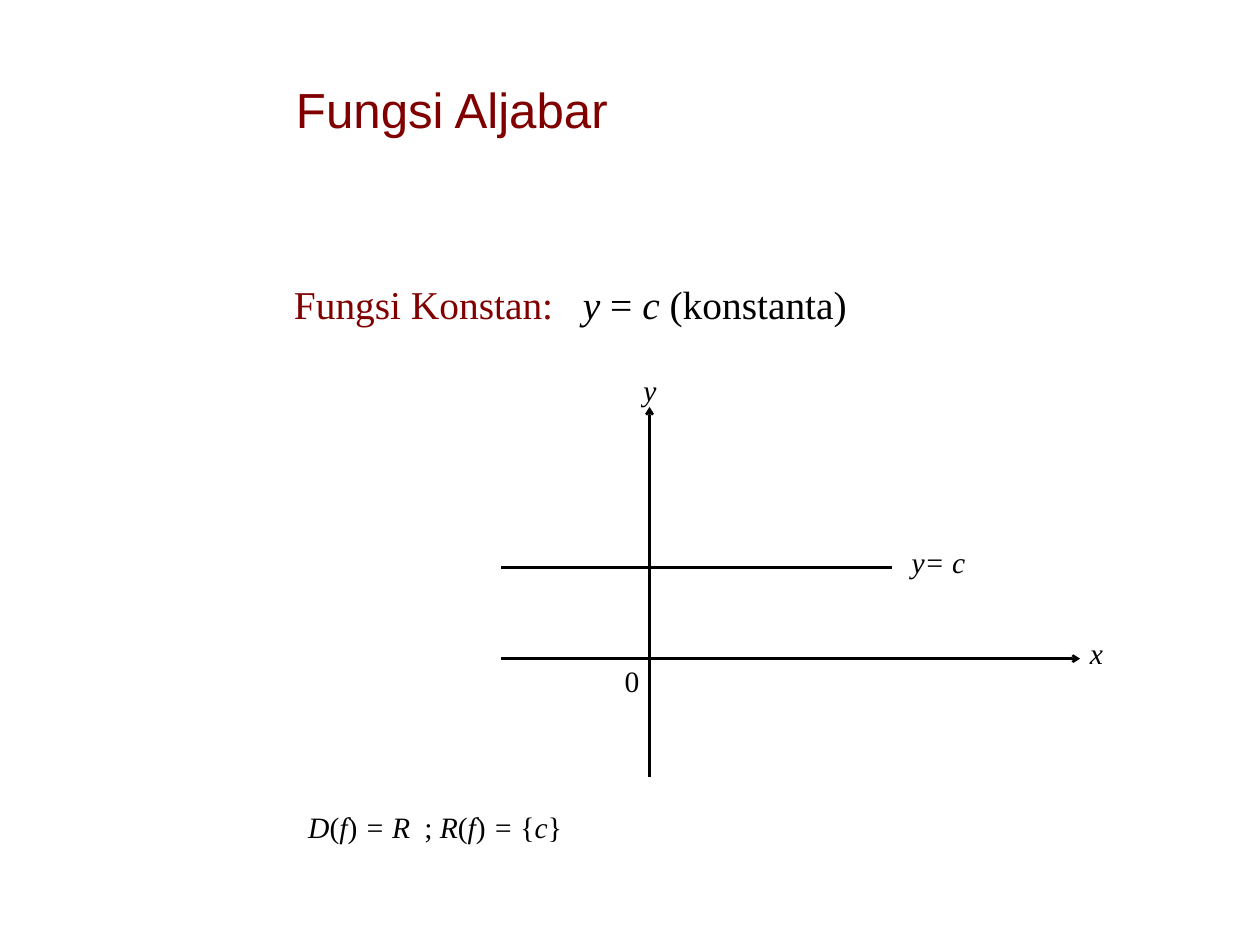
from pptx import Presentation
from pptx import util as u
from pptx.dml.color import RGBColor
from pptx.enum import shapes, text
from pptx.oxml.ns import qn
from lxml import etree

theme = {
    "heading": RGBColor(0x80, 0x00, 0x00),
    "ink": RGBColor(0x00, 0x00, 0x00),
    "title_font": "Arial",
    "math_font": "Times New Roman",
    "title_size": 40,
    "heading_size": 32,
    "math_size": 24,
    "axis_width": 2,
}

deck = Presentation()
deck.slide_width, deck.slide_height = u.Inches(14.22), u.Inches(10.66)
slide = deck.slides.add_slide(deck.slide_layouts[5])

# Grid of 100 columns by 100 rows
column, row = deck.slide_width / 100, deck.slide_height / 100


def place(left, top, width, height):
    return [u.Emu(round(n * unit)) for n, unit in
            ((left, column), (top, row), (width, column), (height, row))]


def write(paragraph, words, size, font, color, italic=False):
    run = paragraph.add_run()
    run.text = words
    run.font.size = u.Pt(size)
    run.font.name = font
    run.font.color.rgb = color
    run.font.italic = italic


# Title
title = slide.shapes.title
title.left, title.top, title.width, title.height = place(23.07, 7.5, 45.78, 8.07)
title_frame = title.text_frame
title_frame.vertical_anchor = text.MSO_ANCHOR.MIDDLE
title_frame.margin_left = title_frame.margin_right = u.Inches(0.06)
title_frame.margin_top = title_frame.margin_bottom = u.Inches(0.06)
title_frame.paragraphs[0].alignment = text.PP_ALIGN.LEFT
write(title_frame.paragraphs[0], "Fungsi Aljabar", theme["title_size"],
      theme["title_font"], theme["heading"])

# Axes and the constant function: start, end, arrowhead
origin_x, origin_y, left_end = 51.55, 69.7, 39.8
graph = [
    ((left_end, origin_y), (85.72, origin_y), True),
    ((origin_x, 82.27), (origin_x, 43.06), True),
    ((left_end, 60.04), (70.82, 60.04), False),
]
for start, end, arrow in graph:
    stroke = slide.shapes.add_connector(
        shapes.MSO_CONNECTOR.STRAIGHT, *place(*start, *end))
    stroke.line.color.rgb = theme["ink"]
    stroke.line.width = u.Pt(theme["axis_width"])
    if arrow:
        etree.SubElement(stroke.line._get_or_add_ln(), qn("a:tailEnd"), type="arrow")
    etree.SubElement(stroke._element.spPr, qn("a:effectLst"))

# Formulas and labels: place, size, centred, tab stop in inches, runs (words, italic)
small, large = theme["math_size"], theme["heading_size"]
formulas = [
    ((22.64, 29.17, 70.04, 6.19), large, False, 3.26,
     [("Fungsi Konstan:", False), ("\ty", True), (" = ", False), ("c", True),
      (" (konstanta)", False)]),
    ((50.35, 38.93, 2.46, 4.69), small, True, None, [("y", True)]),
    ((85.79, 66.7, 2.46, 4.69), small, True, None, [("x", True)]),
    ((48.88, 69.7, 2.53, 4.69), small, True, None, [("0", False)]),
    ((71.66, 57.13, 7.45, 4.69), small, False, None, [("y= c", True)]),
    ((23.77, 85.18, 32.14, 4.69), small, False, 1.31,
     [("D", True), ("(", False), ("f", True), (")", False), (" = R", True),
      ("\t;", False), (" R", True), ("(", False), ("f", True), (")", False),
      (" = ", True), ("{", False), ("c", True), ("}", False)]),
]
for spot, size, centred, tab_stop, runs in formulas:
    frame = slide.shapes.add_textbox(*place(*spot)).text_frame
    frame.word_wrap = not centred
    formula = frame.paragraphs[0]
    formula.alignment = text.PP_ALIGN.CENTER if centred else text.PP_ALIGN.LEFT
    if tab_stop:
        tabs = etree.SubElement(formula._p.get_or_add_pPr(), qn("a:tabLst"))
        etree.SubElement(tabs, qn("a:tab"), pos=str(u.Inches(tab_stop)), algn="l")
    for words, italic in runs:
        color = theme["heading"] if words.startswith("Fungsi") else theme["ink"]
        write(formula, words, size, theme["math_font"], color, italic)

deck.save("out.pptx")
